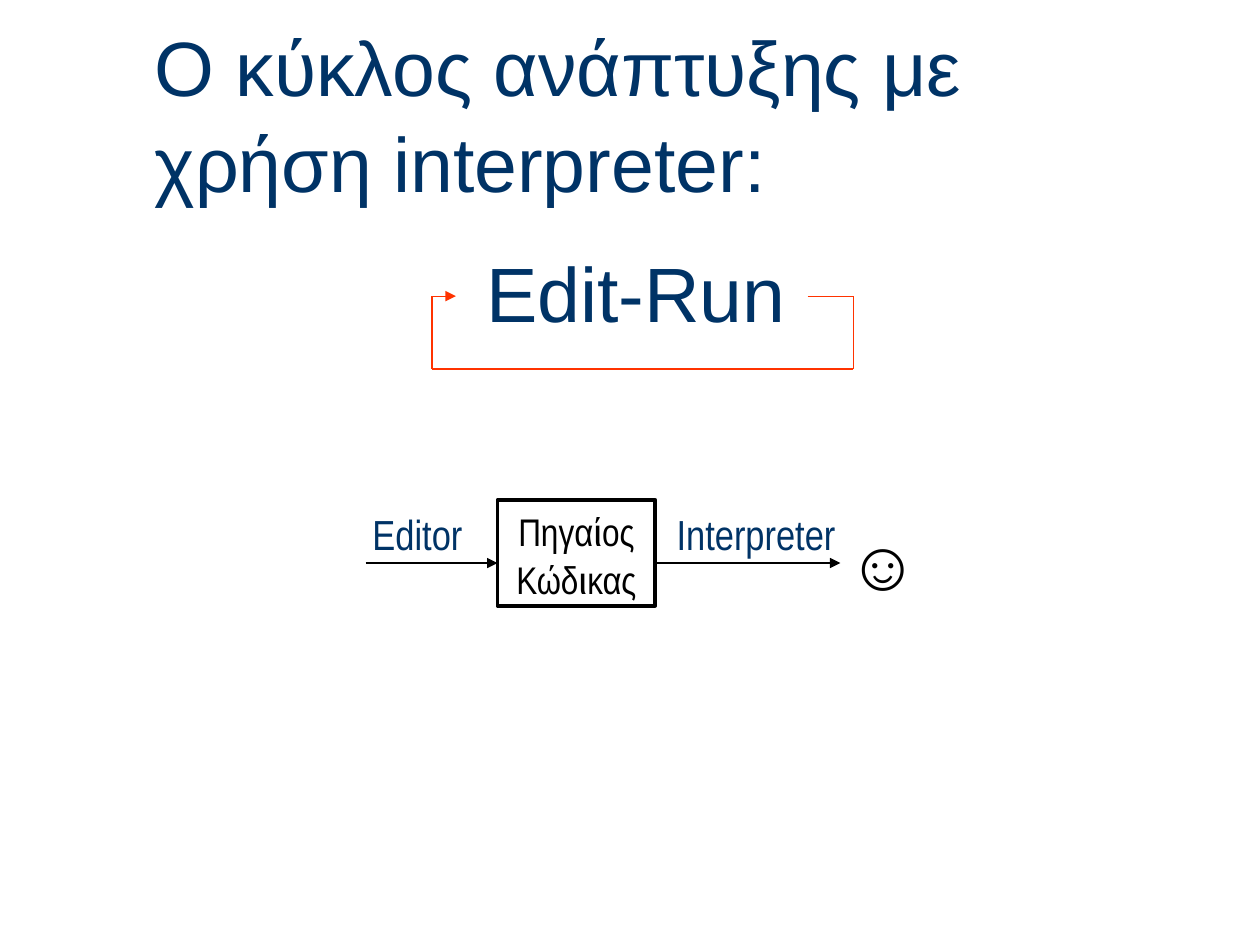
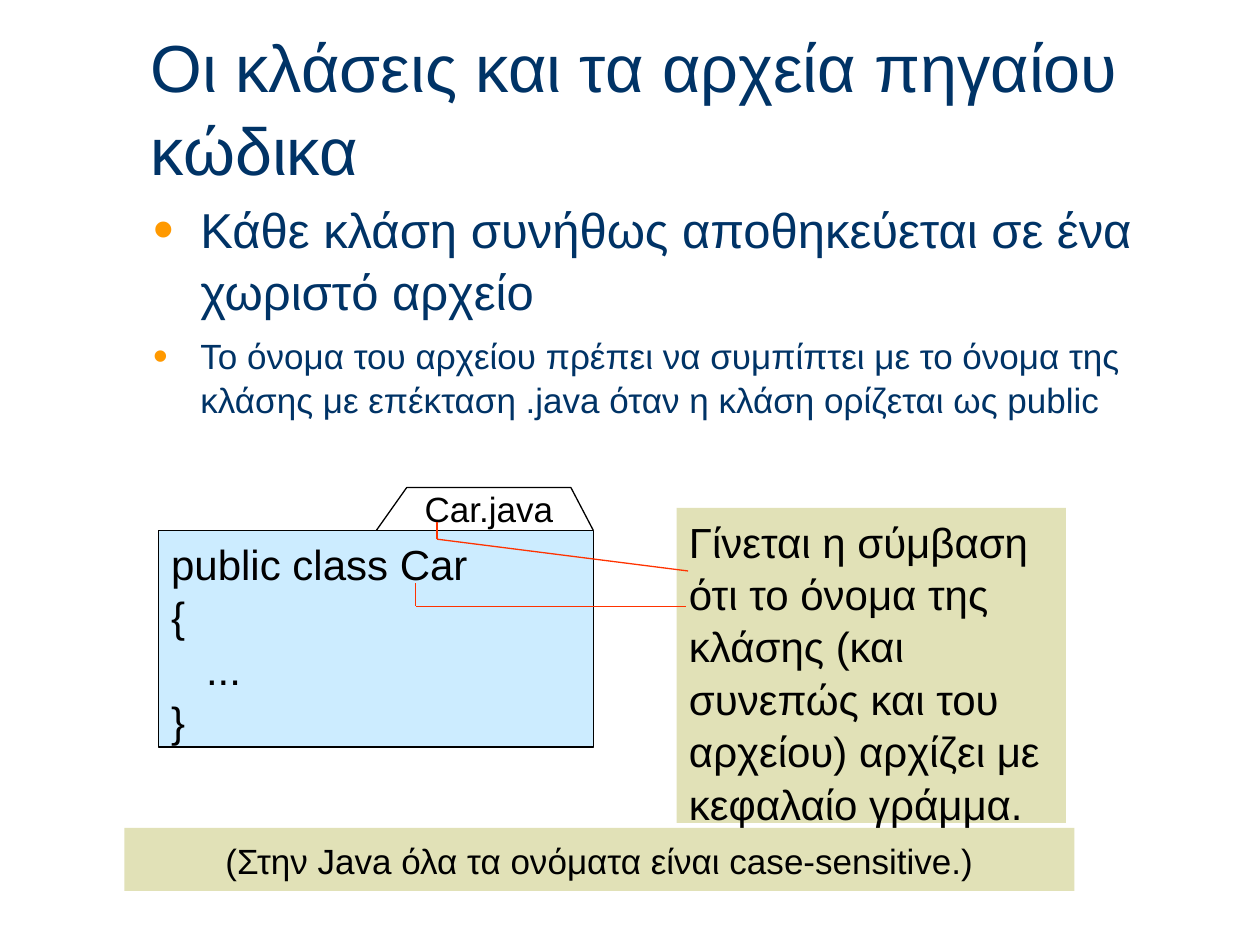
import pptx
import pptx.dml.color
import pptx.enum.shapes
import pptx.enum.text
import pptx.oxml
import pptx.oxml.ns
import pptx.util
from lxml import etree

Cm = pptx.util.Cm
Pt = pptx.util.Pt
ALIGN = pptx.enum.text.PP_ALIGN
ANCHOR = pptx.enum.text.MSO_ANCHOR

COLOURS = {
    "navy": "003366",
    "black": "000000",
    "red": "FF3300",
    "orange": "FF9900",
    "sky": "CCECFF",
    "sand": "E1E1B7",
}
LINE_SPACING = 1.04
TITLE_WIDTH = 21.59


def rgb(colour):
    """Return the named colour as an RGB value."""
    return pptx.dml.color.RGBColor.from_string(COLOURS[colour])


def add_child(parent, tag, **attributes):
    """Append a DrawingML element with the given attributes."""
    child = etree.SubElement(parent, pptx.oxml.ns.qn(tag))
    for key, value in attributes.items():
        child.set(key, value)
    return child


def add_bullet(paragraph):
    """Give a paragraph a hanging orange bullet."""
    properties = paragraph._p.get_or_add_pPr()
    properties.set("marL", str(Cm(0.95)))
    properties.set("indent", str(-Cm(0.95)))
    colour = add_child(properties, "a:buClr")
    add_child(colour, "a:srgbClr", val=COLOURS["orange"])
    add_child(properties, "a:buSzPct", val="120000")
    add_child(properties, "a:buFont", typeface="Arial")
    add_child(properties, "a:buChar", char="•")


def write_text(shape, *lines, sizes=(24,), font="Arial", colour="black",
               align=ALIGN.LEFT, anchor=ANCHOR.TOP, bullets=False, gap=0):
    """Write one paragraph per line, the last size serving any further lines."""
    frame = shape.text_frame
    frame.word_wrap = True
    frame.vertical_anchor = anchor
    for index, line in enumerate(lines):
        paragraph = frame.add_paragraph() if index else frame.paragraphs[0]
        if bullets:
            add_bullet(paragraph)
        paragraph.alignment = align
        paragraph.line_spacing = LINE_SPACING
        if index and gap:
            paragraph.space_before = Pt(gap)
        run = paragraph.add_run()
        run.text = line
        run.font.size = Pt(sizes[min(index, len(sizes) - 1)])
        run.font.name = font
        run.font.color.rgb = rgb(colour)


def add_label(slide, box, *lines, **text_format):
    """Add a text box at box (left, top, width, height in cm)."""
    label = slide.shapes.add_textbox(*map(Cm, box))
    write_text(label, *lines, **text_format)


def add_title(slide, left, height, text, size):
    """Add the slide heading."""
    add_label(slide, (left, 0.61, TITLE_WIDTH, height), text, sizes=(size,),
              colour="navy", anchor=ANCHOR.MIDDLE)


def style_shape(shape, fill=None, line=None, width=0.75):
    """Set the fill and outline of a shape and drop its shadow."""
    shape.shadow.inherit = False
    if fill:
        shape.fill.solid()
        shape.fill.fore_color.rgb = rgb(fill)
    else:
        shape.fill.background()
    if line:
        shape.line.color.rgb = rgb(line)
        shape.line.width = Pt(width)
    else:
        shape.line.fill.background()


def add_panel(slide, box, *lines, fill=None, line=None, width=0.75, **text_format):
    """Add a rectangle holding text."""
    panel = slide.shapes.add_shape(
        pptx.enum.shapes.MSO_SHAPE.RECTANGLE, *map(Cm, box))
    style_shape(panel, fill, line, width)
    write_text(panel, *lines, **text_format)


def add_route(slide, points, colour="red", arrow=False):
    """Join the points with straight lines, with an optional final arrowhead."""
    for start, end in zip(points, points[1:]):
        segment = slide.shapes.add_connector(
            pptx.enum.shapes.MSO_CONNECTOR.STRAIGHT, *map(Cm, start + end))
        segment.line.color.rgb = rgb(colour)
        segment.line.width = Pt(0.75)
        if arrow and end == points[-1]:
            add_child(segment.line._get_or_add_ln(), "a:tailEnd", type="triangle")
        add_child(segment._element.spPr, "a:effectLst")


def add_file_tab(slide, points):
    """Draw the open outline of the file tab."""
    corners = [(Cm(x), Cm(y)) for x, y in points]
    builder = slide.shapes.build_freeform(*corners[0])
    builder.add_line_segments(corners[1:], close=False)
    style_shape(builder.convert_to_shape(), line="black")


def build_cycle_slide(slide):
    """Show the edit-run cycle of an interpreter."""
    add_title(slide, 2.87, 3.28, "Ο κύκλος ανάπτυξης με χρήση interpreter:", 44)

    loop_top, loop_bottom, loop_left, loop_right = 5.97, 7.44, 8.71, 17.2
    add_route(slide, [(16.28, loop_top), (loop_right, loop_top),
                      (loop_right, loop_bottom), (loop_left, loop_bottom),
                      (loop_left, loop_top), (9.19, loop_top)], arrow=True)

    row_top, arrow_y = 10.08, 11.35
    source_left, source_width = 10.03, 3.18
    for text, left, width, start, end in (
            ("Editor", 7.26, 2.74, 7.37, source_left),
            ("Interpreter", 13.39, 4.01, source_left + source_width, 16.94)):
        add_label(slide, (left, row_top, width, 1.27), text,
                  font="Arial Narrow", colour="navy")
        add_route(slide, [(start, arrow_y), (end, arrow_y)], "black", arrow=True)
    add_panel(slide, (source_left, row_top, source_width, 2.13), "Πηγαίος Κώδικας",
              line="black", width=2.25, sizes=(22,), font="Arial Narrow",
              align=ALIGN.CENTER)
    add_label(slide, (16.84, 10.31, 1.7, 1.96), "☺", sizes=(40,), align=ALIGN.CENTER)
    add_label(slide, (2.03, 4.78, TITLE_WIDTH, 2.11), "Edit-Run", sizes=(44,),
              colour="navy", align=ALIGN.CENTER, anchor=ANCHOR.MIDDLE)


def build_classes_slide(slide):
    """Show how a class relates to its source file."""
    add_title(slide, 2.79, 3.05, "Οι κλάσεις και τα αρχεία πηγαίου κώδικα", 38)
    add_label(slide, (2.84, 3.86, TITLE_WIDTH, 8.81),
              "Κάθε κλάση συνήθως αποθηκεύεται σε ένα χωριστό αρχείο",
              "Το όνομα του αρχείου πρέπει να συμπίπτει με το όνομα της κλάσης "
              "με επέκταση .java όταν η κλάση ορίζεται ως public",
              sizes=(28, 20), colour="navy", bullets=True, gap=7.5)

    code_top = 10.69
    add_panel(slide, (3.2, code_top, 8.76, 4.37),
              "public class Car", "{", "   ...", "}", fill="sky", line="black")
    add_file_tab(slide, [(7.59, code_top), (8.2, 9.83), (11.51, 9.83),
                         (11.96, code_top)])
    add_label(slide, (7.77, 9.68, 4.17, 1.12), "Car.java", sizes=(20,),
              align=ALIGN.CENTER)

    add_panel(slide, (13.64, 10.24, 7.85, 6.35),
              "Γίνεται η σύμβαση ότι το όνομα της κλάσης (και συνεπώς και του "
              "αρχείου) αρχίζει με κεφαλαίο γράμμα.", fill="sand")
    add_route(slide, [(13.82, 12.22), (8.38, 12.22), (8.38, 11.76)])
    add_route(slide, [(13.87, 11.51), (8.81, 10.87), (8.81, 10.52)])
    add_panel(slide, (2.51, 16.69, 19.15, 1.27),
              "(Στην Java όλα τα ονόματα είναι case-sensitive.)", fill="sand",
              sizes=(20,), align=ALIGN.CENTER, anchor=ANCHOR.MIDDLE)


def main():
    """Build and save the presentation."""
    presentation = pptx.Presentation()
    presentation.slide_width = Cm(25.4)
    presentation.slide_height = Cm(19.05)
    blank = presentation.slide_layouts[6]
    for build in (build_cycle_slide, build_classes_slide):
        build(presentation.slides.add_slide(blank))
    presentation.save("out.pptx")


if __name__ == "__main__":
    main()
